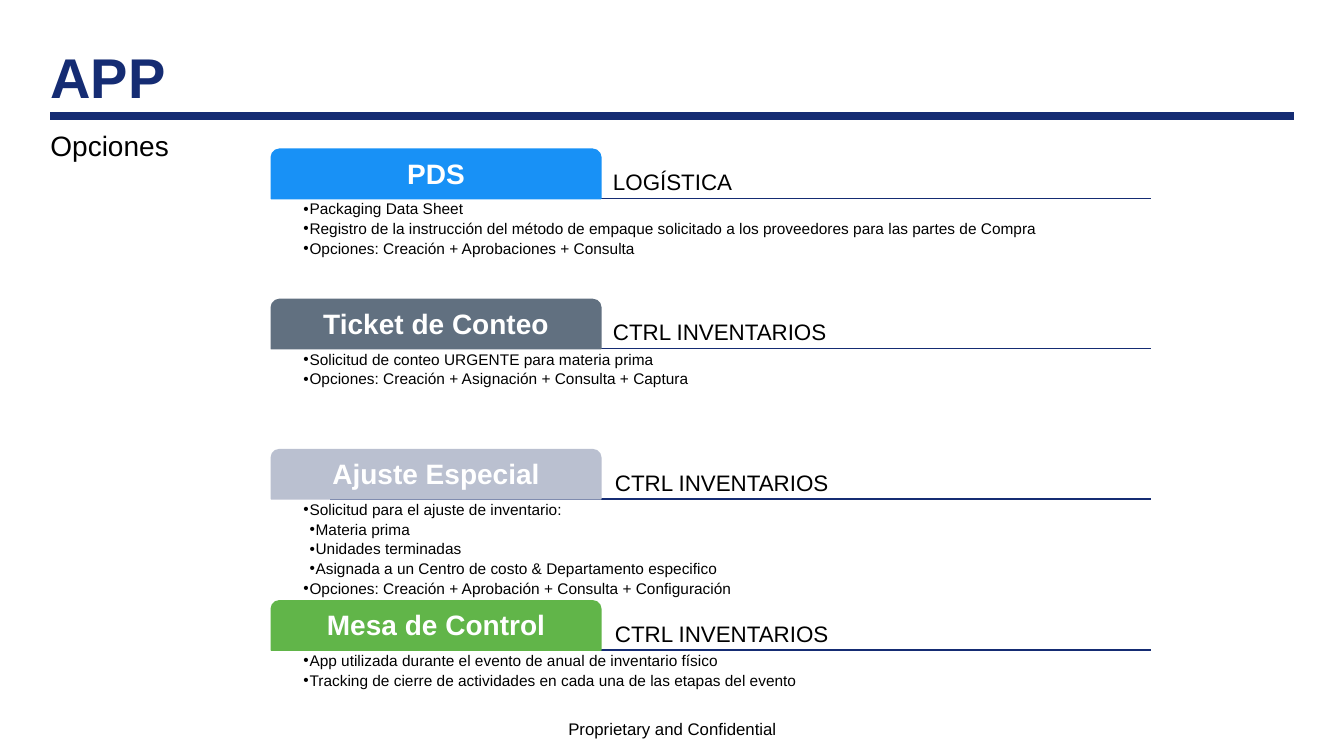
from lxml import etree
from pptx import Presentation
from pptx.dml.color import RGBColor
from pptx.enum.shapes import MSO_CONNECTOR, MSO_SHAPE
from pptx.enum.text import MSO_ANCHOR, MSO_AUTO_SIZE, PP_ALIGN
from pptx.oxml.ns import qn
from pptx.util import Pt

PX = 9144
LEFT, CENTER = PP_ALIGN.LEFT, PP_ALIGN.CENTER
TOP, MIDDLE, BOTTOM = MSO_ANCHOR.TOP, MSO_ANCHOR.MIDDLE, MSO_ANCHOR.BOTTOM
FIXED = MSO_AUTO_SIZE.NONE
STRAIGHT = MSO_CONNECTOR.STRAIGHT
TAB = MSO_SHAPE.ROUND_2_SAME_RECTANGLE

COLORS = {
    "navy": "152C73",
    "black": "000000",
    "white": "FFFFFF",
    "blue": "1891F6",
    "slate": "617080",
    "mist": "BAC0D0",
    "green": "61B549",
}

APPS = [
    ("PDS", "blue", "LOGÍSTICA", 605, [
        (1, "Packaging Data Sheet"),
        (1, "Registro de la instrucción del método de empaque solicitado "
            "a los proveedores para las partes de Compra"),
        (1, "Opciones: Creación + Aprobaciones + Consulta"),
    ]),
    ("Ticket de Conteo", "slate", "CTRL INVENTARIOS", 605, [
        (1, "Solicitud de conteo URGENTE para materia prima"),
        (1, "Opciones: Creación + Asignación + Consulta + Captura"),
    ]),
    ("Ajuste Especial", "mist", "CTRL INVENTARIOS", 607, [
        (1, "Solicitud para el ajuste de inventario:"),
        (2, "Materia prima"),
        (2, "Unidades terminadas"),
        (2, "Asignada a un Centro de costo & Departamento especifico"),
        (1, "Opciones: Creación + Aprobación + Consulta + Configuración"),
    ]),
    ("Mesa de Control", "green", "CTRL INVENTARIOS", 607, [
        (1, "App utilizada durante el evento de anual de inventario físico"),
        (1, "Tracking de cierre de actividades en cada una de las etapas "
            "del evento"),
    ]),
]


def rgb(name):
    return RGBColor.from_string(COLORS[name])


def place(shape, *box):
    shape.left, shape.top, shape.width, shape.height = [n * PX for n in box]


def style(shape, size, color="black", bold=False, align=LEFT, anchor=TOP,
          inset=0, lead=0.9, after=0):
    frame = shape.text_frame
    frame.word_wrap = True
    frame.auto_size = FIXED
    frame.vertical_anchor = anchor
    frame.margin_left = frame.margin_right = inset * PX
    frame.margin_top = frame.margin_bottom = inset * PX
    for para in frame.paragraphs:
        para.alignment = align
        para.line_spacing = lead
        para.space_before = Pt(0)
        para.space_after = Pt(after)
        for run in para.runs:
            font = run.font
            font.name, font.size, font.bold = "Arial", Pt(size), bold
            font.color.rgb = rgb(color)


def add_text(slide, text, box, size, **look):
    shape = slide.shapes.add_textbox(*[n * PX for n in box])
    shape.text_frame.text = text
    style(shape, size, **look)


def add_rule(slide, left, right, top, width):
    line = slide.shapes.add_connector(
        STRAIGHT, left * PX, top * PX, right * PX, top * PX)
    line.line.color.rgb = rgb("navy")
    line.line.width = Pt(width)
    etree.SubElement(line._element.spPr, qn("a:effectLst"))


def add_tab(slide, text, color, top):
    tab = slide.shapes.add_shape(TAB, 269 * PX, top * PX, 327 * PX, 49 * PX)
    tab.shadow.inherit = False
    tab.fill.solid()
    tab.fill.fore_color.rgb = rgb(color)
    tab.line.color.rgb = rgb(color)
    tab.line.width = Pt(1)
    tab.text_frame.text = text
    style(tab, 20, "white", True, CENTER, MIDDLE, 4)


def fill_list(body, items, top):
    place(body, 298, top, 815, 98)
    body.text_frame.text = "\n".join(text for _, text in items)
    style(body, 11, inset=3, after=2.2)
    for para, (level, _) in zip(body.text_frame.paragraphs, items):
        para.level = level
        props = para._p.get_or_add_pPr()
        props.set("marL", str(level * 6 * PX))
        props.set("indent", str(-6 * PX))
        etree.SubElement(props, qn("a:buChar")).set("char", "•")


def main():
    deck = Presentation()
    deck.slide_width, deck.slide_height = 1333 * PX, 750 * PX
    slide = deck.slides.add_slide(deck.slide_layouts.get_by_name("Comparison"))
    title, *lists = slide.placeholders

    add_rule(slide, 50, 1283, 115, 6)
    place(title, 50, 50, 1233, 60)
    title.text_frame.text = "APP"
    style(title, 40, "navy", True, anchor=BOTTOM)
    add_text(slide, "Opciones", (50, 130, 1204, 39), 20, lead=0.95)
    add_text(slide, "Proprietary and Confidential", (442, 703, 450, 40), 12,
             align=CENTER, anchor=MIDDLE, inset=5, lead=1)

    for row, (name, color, area, left, items) in enumerate(APPS):
        top = 148 + row * 448 // 3
        base = top + 49
        add_rule(slide, 327, 1142, base, 1)
        add_tab(slide, name, color, top)
        add_text(slide, area, (left, top, 470, 49), 16, anchor=BOTTOM,
                 inset=3, after=5.6)
        fill_list(lists[row], items, base)

    deck.save("out.pptx")


if __name__ == "__main__":
    main()
